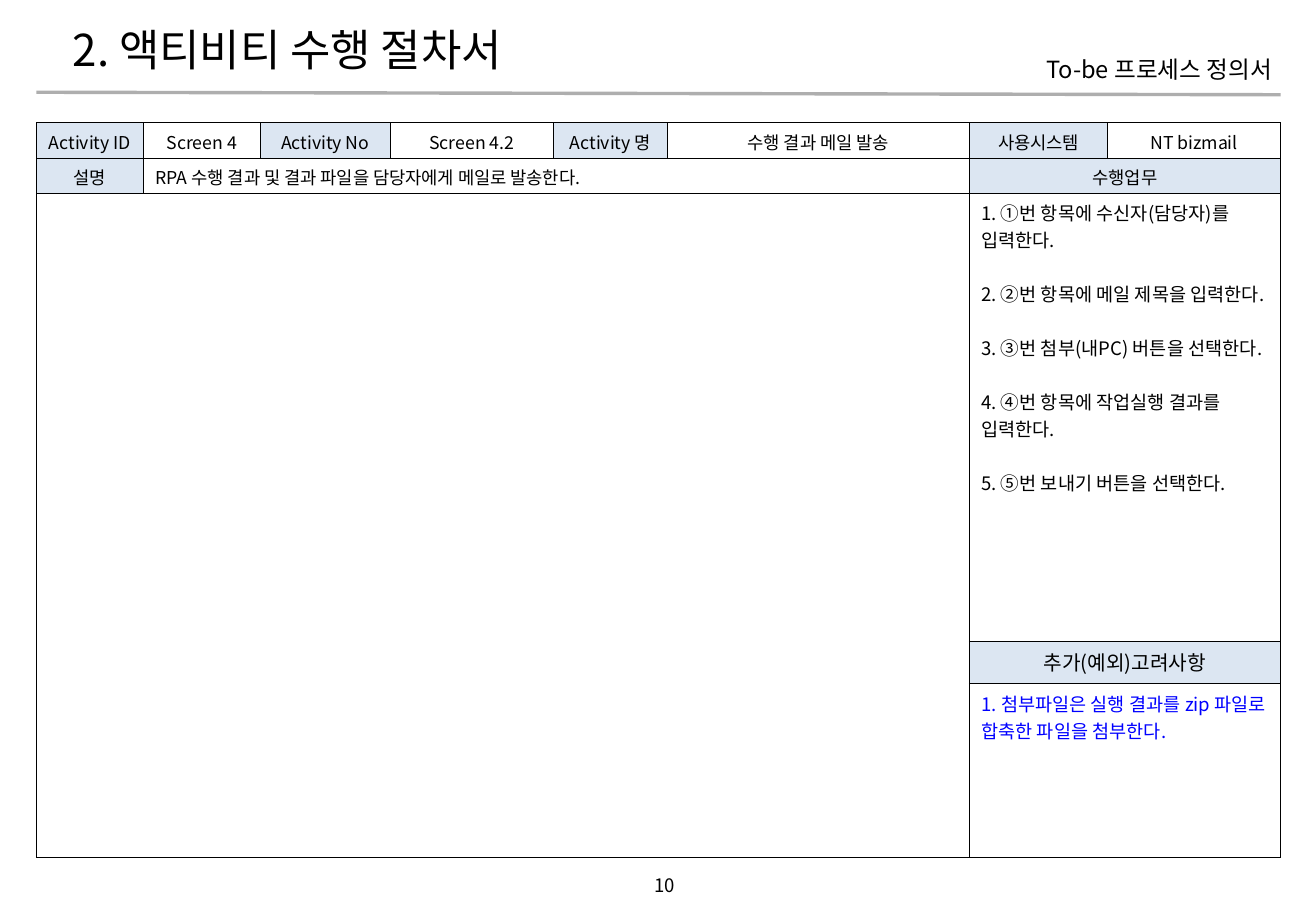
from dataclasses import dataclass

from lxml import etree
from pptx import Presentation
from pptx import util as u
from pptx.dml.color import RGBColor
from pptx.enum import shapes, text
from pptx.oxml import ns


@dataclass(frozen=True)
class Theme:
    font: str = "Noto Sans CJK KR"
    ink: str = "000000"
    rule: str = "AEAEAE"
    head: str = "DCE6F2"
    note: str = "0000FF"
    title: float = 26
    subtitle: float = 14
    section: float = 12
    body: float = 11
    label: float = 10.5
    rule_width: float = 2
    border: float = 0.5
    step_gap: float = 16


LEFT, CENTER, RIGHT = text.PP_ALIGN.LEFT, text.PP_ALIGN.CENTER, text.PP_ALIGN.RIGHT
MIDDLE, TOP = text.MSO_ANCHOR.MIDDLE, text.MSO_ANCHOR.TOP


class Page:
    """Places elements on one slide; positions are percentages of its size."""

    def __init__(self, prs, theme):
        self.prs, self.theme = prs, theme
        self.s = prs.slides.add_slide(prs.slide_layouts[6])

    def x(self, share):
        return round(self.prs.slide_width * share / 100)

    def y(self, share):
        return round(self.prs.slide_height * share / 100)

    def box(self, left, top, width, height):
        return self.x(left), self.y(top), self.x(width), self.y(height)

    def set_text(self, tf, lines, size, align=LEFT, color=None, gap=0):
        tf.text = "\n".join(lines)
        for i, p in enumerate(tf.paragraphs, 1):
            p.alignment = align
            if gap and i < len(lines):
                p.space_after = u.Pt(gap)
            for r in p.runs:
                r.font.size = u.Pt(size)
                r.font.name = self.theme.font
                r.font.color.rgb = RGBColor.from_string(color or self.theme.ink)
                ea = etree.SubElement(r._r.get_or_add_rPr(), ns.qn("a:ea"))
                ea.set("typeface", self.theme.font)

    def label(self, place, line, size, align=LEFT, anchor=MIDDLE):
        tf = self.s.shapes.add_textbox(*self.box(*place)).text_frame
        tf.word_wrap = True
        tf.vertical_anchor = anchor
        self.set_text(tf, [line], size, align)

    def line(self, x1, y1, x2, y2):
        c = self.s.shapes.add_connector(
            shapes.MSO_CONNECTOR.STRAIGHT,
            self.x(x1), self.y(y1), self.x(x2), self.y(y2))
        c.line.color.rgb = RGBColor.from_string(self.theme.rule)
        c.line.width = u.Pt(self.theme.rule_width)
        etree.SubElement(c._element.spPr, ns.qn("a:effectLst"))

    def table(self, place, cols, rows):
        """Add a bordered, unfilled table; cols and rows are relative sizes."""
        left, top, width, height = self.box(*place)
        tbl = self.s.shapes.add_table(
            len(rows), len(cols), left, top, width, height).table
        tbl.first_row = tbl.horz_banding = False
        for col, part in zip(tbl.columns, cols):
            col.width = round(width * part / sum(cols))
        for row, part in zip(tbl.rows, rows):
            row.height = round(height * part / sum(rows))
        for cell in tbl.iter_cells():
            self.border(cell)
            cell.fill.background()
        return tbl

    def border(self, cell):
        tcPr = cell._tc.get_or_add_tcPr()
        for side in ("a:lnL", "a:lnR", "a:lnT", "a:lnB"):
            ln = etree.SubElement(tcPr, ns.qn(side), w=str(u.Pt(self.theme.border)))
            fill = etree.SubElement(ln, ns.qn("a:solidFill"))
            etree.SubElement(fill, ns.qn("a:srgbClr"), val=self.theme.ink)

    def cell(self, tbl, row, col, lines=(), span=(1, 1), size=None, head=False,
             align=CENTER, anchor=TOP, color=None, gap=0):
        c = tbl.cell(row, col)
        if span != (1, 1):
            c.merge(tbl.cell(row + span[0] - 1, col + span[1] - 1))
        if head:
            c.fill.solid()
            c.fill.fore_color.rgb = RGBColor.from_string(self.theme.head)
        c.vertical_anchor = anchor
        self.set_text(c.text_frame, lines, size or self.theme.label, align, color, gap)


def main():
    prs = Presentation()
    prs.slide_width, prs.slide_height = u.Inches(10.83), u.Inches(7.5)
    th = Theme()
    page = Page(prs, th)

    # Header and page number
    page.line(2.77, 10.13, 97.32, 10.4)
    page.label((76.08, 5.33, 21.51, 4.53), "To-be 프로세스 정의서",
               th.subtitle, RIGHT, TOP)
    page.label((48.01, 95.33, 4.99, 3.73), "10", th.body, CENTER)
    page.label((4.62, 1.73, 73.78, 7.33), "2. 액티비티 수행 절차서", th.title)

    # Procedure table
    tbl = page.table((2.77, 13.47, 94.55, 80.67),
                     cols=(88, 96, 107, 134, 94, 248, 114, 142),
                     rows=(29, 29, 369, 35, 143))

    # Activity row: headings alternate with values
    activity = ("Activity ID", "Screen 4", "Activity No", "Screen 4.2",
                "Activity 명", "수행 결과 메일 발송", "사용시스템", "NT bizmail")
    for i, line in enumerate(activity):
        page.cell(tbl, 0, i, [line], head=i % 2 == 0)

    # Description row and the empty screen area
    page.cell(tbl, 1, 0, ["설명"], head=True)
    page.cell(tbl, 1, 1, ["RPA 수행 결과 및 결과 파일을 담당자에게 메일로 발송한다."],
              span=(1, 5), align=LEFT, anchor=MIDDLE)
    page.cell(tbl, 2, 0, span=(3, 6))

    # Right column: tasks and extra considerations
    side = (1, 2)
    steps = ("1. ①번 항목에 수신자(담당자)를 입력한다.",
             "2. ②번 항목에 메일 제목을 입력한다.",
             "3. ③번 첨부(내PC) 버튼을 선택한다.",
             "4. ④번 항목에 작업실행 결과를 입력한다.",
             "5. ⑤번 보내기 버튼을 선택한다.")
    page.cell(tbl, 1, 6, ["수행업무"], side, head=True)
    page.cell(tbl, 2, 6, steps, side, th.body, align=LEFT, gap=th.step_gap)
    page.cell(tbl, 3, 6, ["추가(예외)고려사항"], side, th.section, head=True)
    page.cell(tbl, 4, 6, ["1. 첨부파일은 실행 결과를 zip 파일로 합축한 파일을 첨부한다."],
              side, th.body, align=LEFT, color=th.note)

    prs.save("out.pptx")


if __name__ == "__main__":
    main()
